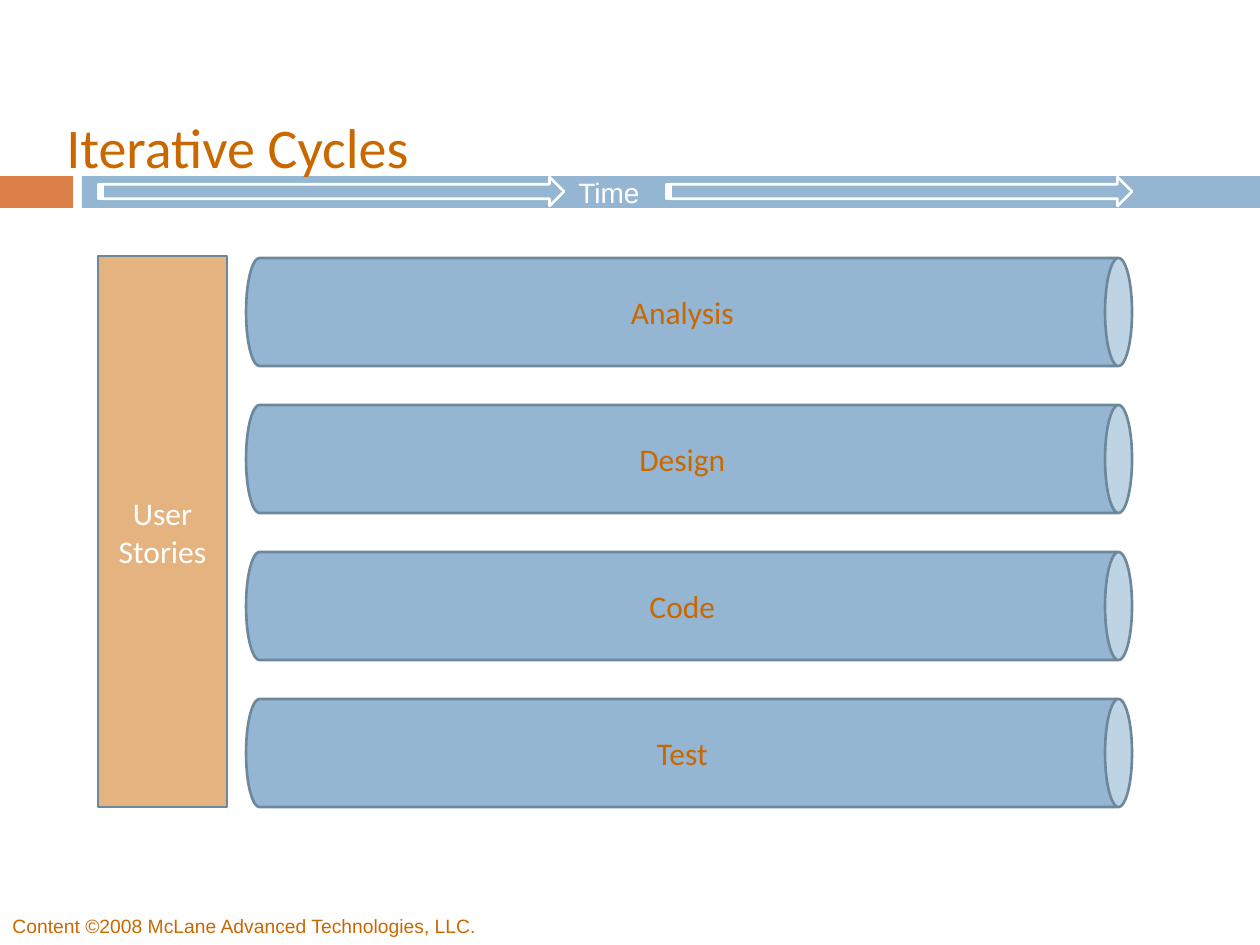
from dataclasses import dataclass
from typing import Optional

from lxml import etree
from pptx import Presentation
from pptx import util as u
from pptx.dml.color import RGBColor
from pptx.enum import shapes, text
from pptx.oxml.ns import qn

PX_PER_INCH = 126
COLORS = {
    "blue": "94B6D2",
    "orange": "DD8047",
    "rust": "CA6800",
    "outline": "6D879B",
    "white": "FFFFFF",
}
PHASES = ["Analysis", "Design", "Code", "Test"]
PHASE_CENTER_X, FIRST_PHASE_Y, PHASE_PITCH = 689, 312, 147
PHASE_LENGTH, PHASE_THICKNESS = 886, 108


@dataclass
class Box:
    left: int
    top: int
    width: int
    height: int


@dataclass
class Style:
    size: int
    font: str
    color: str
    align: text.PP_ALIGN = text.PP_ALIGN.LEFT
    anchor: text.MSO_ANCHOR = text.MSO_ANCHOR.TOP


@dataclass
class Label:
    content: str
    box: Box
    style: Style
    wrap: bool = True


def px(value: int) -> u.Emu:
    return u.Inches(value / PX_PER_INCH)


def place(box: Box) -> tuple:
    return px(box.left), px(box.top), px(box.width), px(box.height)


def rgb(name: str) -> RGBColor:
    return RGBColor.from_string(COLORS[name])


def write(shape, content: str, style: Style) -> None:
    frame = shape.text_frame
    frame.text = content
    frame.vertical_anchor = style.anchor
    for paragraph in frame.paragraphs:
        paragraph.alignment = style.align
        for run in paragraph.runs:
            run.font.size = u.Pt(style.size)
            run.font.name = style.font
            run.font.color.rgb = rgb(style.color)


def add_block(slide, kind, box: Box, fill: str, line: Optional[str] = None):
    shape = slide.shapes.add_shape(kind, *place(box))
    shape.shadow.inherit = False
    shape.fill.solid()
    shape.fill.fore_color.rgb = rgb(fill)
    if line:
        shape.line.color.rgb = rgb(line)
        shape.line.width = u.Pt(1.5)
    else:
        shape.line.fill.background()
    return shape


def add_label(slide, label: Label) -> None:
    shape = slide.shapes.add_textbox(*place(label.box))
    write(shape, label.content, label.style)
    shape.text_frame.word_wrap = label.wrap


def add_phase(slide, name: str, center_y: int, style: Style) -> None:
    box = Box(PHASE_CENTER_X - PHASE_THICKNESS // 2, center_y - PHASE_LENGTH // 2,
              PHASE_THICKNESS, PHASE_LENGTH)
    shape = add_block(slide, shapes.MSO_SHAPE.CAN, box, "blue", "outline")
    shape.rotation = 90
    write(shape, name, style)
    shape.text_frame._txBody.bodyPr.set("vert", "vert270")


def set_opacity(shape, percent: int) -> None:
    color = shape.fill._xPr.find(qn("a:solidFill")).find(qn("a:srgbClr"))
    etree.SubElement(color, qn("a:alpha")).set("val", str(percent * 1000))


def main() -> None:
    presentation = Presentation()
    presentation.slide_width, presentation.slide_height = px(1260), px(945)
    slide = presentation.slides.add_slide(presentation.slide_layouts[6])
    rectangle = shapes.MSO_SHAPE.RECTANGLE
    center, middle = text.PP_ALIGN.CENTER, text.MSO_ANCHOR.MIDDLE

    add_block(slide, rectangle, Box(0, 176, 73, 32), "orange")
    add_block(slide, rectangle, Box(82, 176, 1178, 32), "blue")

    phase_style = Style(18, "Calibri", "rust", center, middle)
    for index, name in enumerate(PHASES):
        add_phase(slide, name, FIRST_PHASE_Y + index * PHASE_PITCH, phase_style)

    labels = [
        Label("Iterative Cycles", Box(54, 86, 1071, 120),
              Style(32, "Calibri", "rust", anchor=middle)),
        Label("Content ©2008 McLane Advanced Technologies, LLC.",
              Box(0, 908, 512, 37), Style(11, "Arial", "rust")),
        Label("Time", Box(566, 169, 89, 47), Style(16, "Arial", "white"), wrap=False),
    ]
    for label in labels:
        add_label(slide, label)

    for left in (98, 666):
        add_block(slide, shapes.MSO_SHAPE.STRIPED_RIGHT_ARROW,
                  Box(left, 177, 466, 29), "blue", "white")

    stories = add_block(slide, rectangle, Box(98, 256, 129, 551), "rust", "outline")
    set_opacity(stories, 50)
    write(stories, "User\nStories", Style(18, "Calibri", "white", center, middle))

    presentation.save("out.pptx")


if __name__ == "__main__":
    main()
